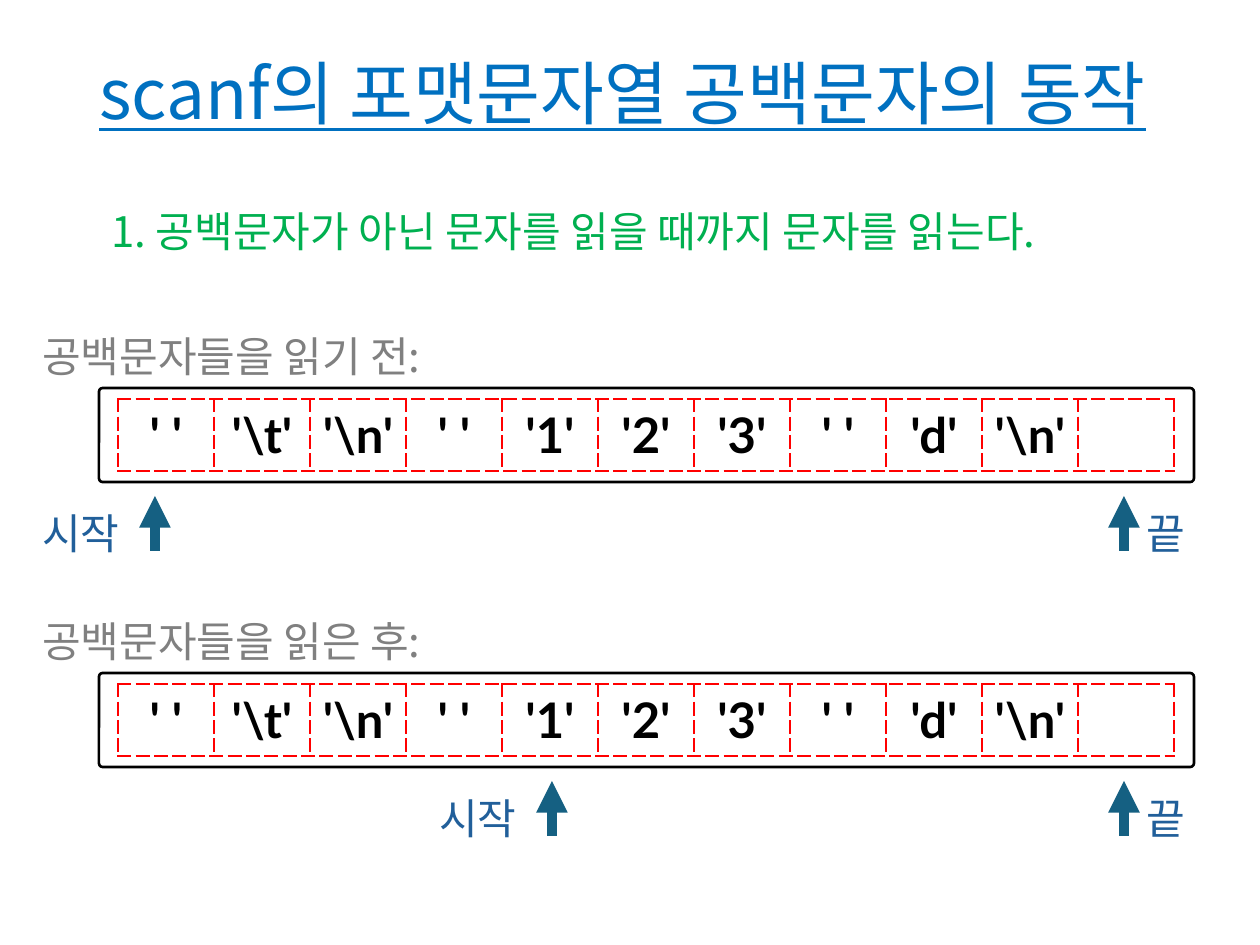
from dataclasses import dataclass

from lxml.etree import SubElement
from pptx import Presentation
from pptx.dml.color import RGBColor
from pptx.enum.shapes import MSO_CONNECTOR, MSO_SHAPE
from pptx.enum.text import MSO_ANCHOR, PP_ALIGN
from pptx.oxml import parse_xml
from pptx.oxml.ns import nsdecls, qn
from pptx.util import Emu, Pt

PX_PER_INCH = 126
CELL_W, CELL_H = 96, 72
BUFFER = ["' '", r"'\t'", r"'\n'", "' '", "'1'", "'2'", "'3'", "' '", "'d'", r"'\n'", ""]


@dataclass(frozen=True)
class Theme:
    title: str = "0070C0"
    rule: str = "00B050"
    caption: str = "808080"
    label: str = "215F9A"
    arrow: str = "156082"
    ink: str = "000000"
    paper: str = "FFFFFF"
    grid: str = "FF0000"
    korean: str = "Noto Sans CJK KR"
    latin: str = "Lato"
    title_size: float = 39.6
    body_size: float = 24
    cell_size: float = 28


THEME = Theme()


def px(length):
    return Emu(round(length * 914400 / PX_PER_INCH))


def rgb(color):
    return RGBColor.from_string(color)


def add_text(slide, box, words, color, size=THEME.body_size):
    """Place one line of Korean text and return its frame."""
    frame = slide.shapes.add_textbox(*map(px, box)).text_frame
    frame.word_wrap = True
    paragraph = frame.paragraphs[0]
    run = paragraph.add_run()
    run.text = words
    font = paragraph.font
    font.name, font.size = THEME.korean, Pt(size)
    font.color.rgb = rgb(color)
    # East Asian glyphs take their typeface from a:ea on the run.
    east_asian = SubElement(run.font._element, qn("a:ea"))
    east_asian.set("typeface", THEME.korean)
    return frame


def add_title(slide, box, words):
    frame = add_text(slide, box, words, THEME.title, THEME.title_size)
    frame.vertical_anchor = MSO_ANCHOR.MIDDLE
    frame.paragraphs[0].line_spacing = 0.9
    frame.paragraphs[0].font.underline = True


def add_arrow(slide, x, top):
    arrow = slide.shapes.add_connector(
        MSO_CONNECTOR.STRAIGHT, px(x), px(top + 55), px(x), px(top))
    arrow.line.color.rgb = rgb(THEME.arrow)
    arrow.line.width = Pt(6)
    SubElement(arrow.line._get_or_add_ln(), qn("a:tailEnd")).set("type", "triangle")
    SubElement(arrow._element.spPr, qn("a:effectLst"))


def dash_borders(cell):
    properties = cell._tc.get_or_add_tcPr()
    for index, side in enumerate(("lnL", "lnR", "lnT", "lnB")):
        properties.insert(index, parse_xml(
            f'<a:{side} {nsdecls("a")} w="{Pt(1)}"><a:solidFill>'
            f'<a:srgbClr val="{THEME.grid}"/></a:solidFill>'
            f'<a:prstDash val="dash"/></a:{side}>'))


def add_cells(slide, left, top):
    cells = slide.shapes.add_table(
        1, len(BUFFER), px(left), px(top),
        px(CELL_W * len(BUFFER)), px(CELL_H)).table
    cells.first_row = cells.horz_banding = False
    for column, character in enumerate(BUFFER):
        cells.columns[column].width = px(CELL_W)
        cell = cells.cell(0, column)
        cell.fill.background()
        dash_borders(cell)
        cell.text = character
        paragraph = cell.text_frame.paragraphs[0]
        paragraph.alignment = PP_ALIGN.CENTER
        font = paragraph.font
        font.name, font.size, font.bold = THEME.latin, Pt(THEME.cell_size), True
        font.color.rgb = rgb(THEME.ink)


def add_buffer(slide, left, top, caption, start):
    """Show the input buffer with its caption; start is the x of the start arrow."""
    add_text(slide, (left, top, 683, 63), caption, THEME.caption)

    frame = slide.shapes.add_shape(
        MSO_SHAPE.ROUNDED_RECTANGLE,
        *map(px, (left + 69, top + 64, 1095, 94)))
    frame.adjustments[0] = 0.04
    frame.shadow.inherit = False
    frame.fill.solid()
    frame.fill.fore_color.rgb = rgb(THEME.paper)
    frame.line.color.rgb = rgb(THEME.ink)
    frame.line.width = Pt(1.5)
    add_cells(slide, left + 88, top + 75)

    end = left + 1094
    for x in (left + start, end):
        add_arrow(slide, x, top + 172)
    add_text(slide, (left + start - 125, top + 177, 113, 63), "시작", THEME.label)
    add_text(slide, (end + 10, top + 177, 63, 63), "끝", THEME.label)


def main():
    deck = Presentation()
    deck.slide_width, deck.slide_height = px(1260), px(945)
    slide = deck.slides.add_slide(deck.slide_layouts[6])
    add_title(slide, (87, 50, 1173, 93), "scanf의 포맷문자열 공백문자의 동작")
    add_text(slide, (99, 199, 1160, 63),
             "1. 공백문자가 아닌 문자를 읽을 때까지 문자를 읽는다.", THEME.rule)
    add_buffer(slide, 30, 324, "공백문자들을 읽기 전:", start=125)
    add_buffer(slide, 30, 609, "공백문자들을 읽은 후:", start=522)
    deck.save("out.pptx")


if __name__ == "__main__":
    main()
